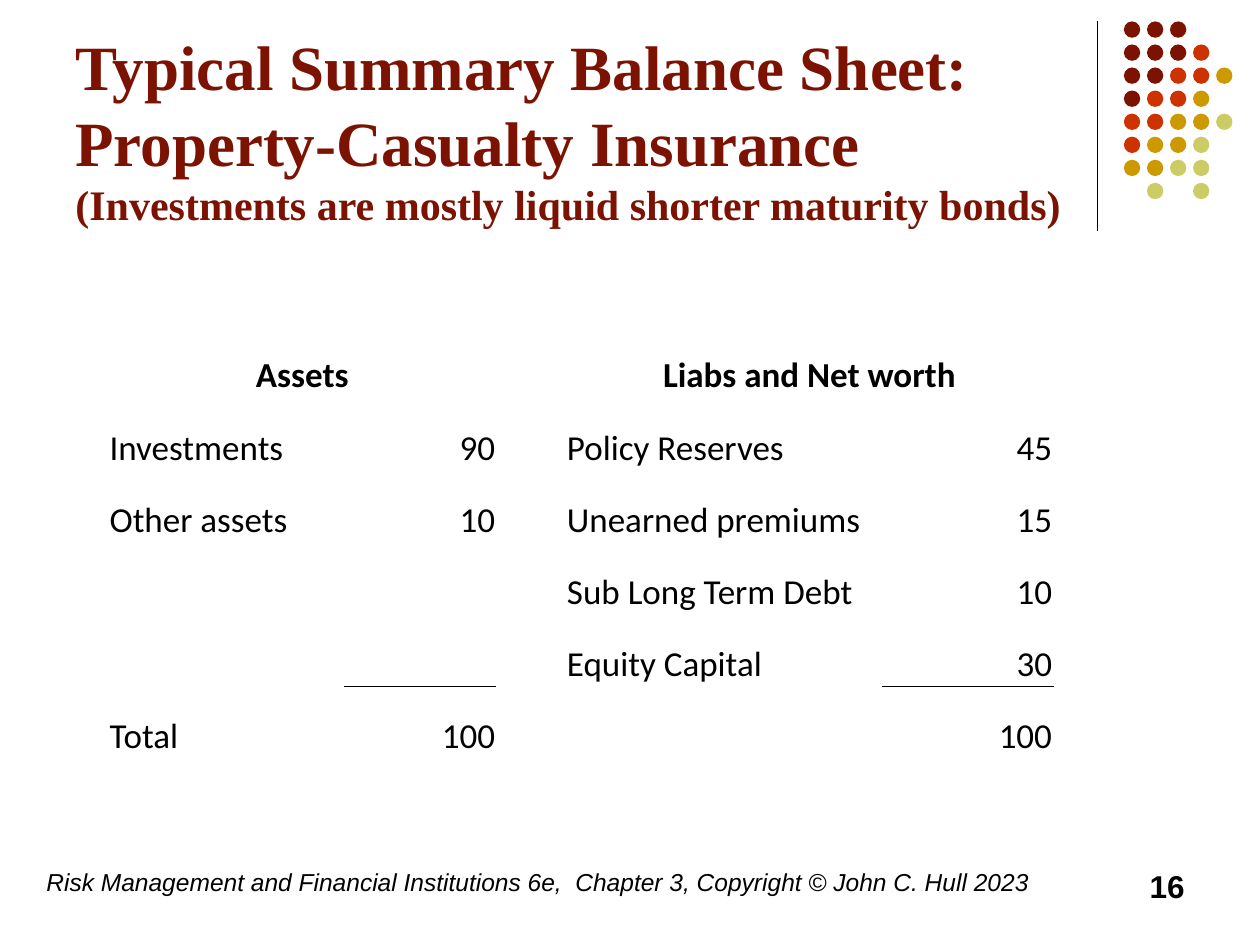
"""Build the property-casualty insurance balance sheet slide."""
import dataclasses

import lxml.etree
import pptx
import pptx.dml.color
import pptx.enum.shapes
import pptx.enum.text
import pptx.oxml
import pptx.oxml.ns
import pptx.util

Inches = pptx.util.Inches
Pt = pptx.util.Pt
Color = pptx.dml.color.RGBColor.from_string
Align = pptx.enum.text.PP_ALIGN
Anchor = pptx.enum.text.MSO_ANCHOR
qn = pptx.oxml.ns.qn


@dataclasses.dataclass(frozen=True)
class Theme:
    black: str = "000000"
    white: str = "FFFFFF"
    maroon: str = "7C1302"
    red: str = "CC3300"
    gold: str = "CC9900"
    olive: str = "CCCC66"
    title_size: int = 36
    subtitle_size: int = 24
    table_size: int = 20
    number_size: int = 18
    footer_size: int = 14
    title_font: str = "Times New Roman"
    table_font: str = "Calibri"
    footer_font: str = "Arial"


theme = Theme()


def style_font(font, name, size, color, bold=False, italic=False):
    font.name = name
    font.size = Pt(size)
    font.color.rgb = Color(color)
    font.bold = bold
    font.italic = italic


def add_text_box(left, top, width, height, anchor=Anchor.TOP):
    box = slide.shapes.add_textbox(Inches(left), Inches(top), Inches(width), Inches(height))
    box.text_frame.word_wrap = True
    box.text_frame.vertical_anchor = anchor
    return box.text_frame.paragraphs[0]


presentation = pptx.Presentation()
presentation.slide_width = Inches(10)
presentation.slide_height = Inches(7.5)
slide = presentation.slides.add_slide(presentation.slide_layouts[6])

divider = slide.shapes.add_connector(
    pptx.enum.shapes.MSO_CONNECTOR.STRAIGHT,
    Inches(8.71), Inches(0.17), Inches(8.71), Inches(1.83),
)
divider.line.color.rgb = Color(theme.black)
divider.line.width = Pt(0.75)
lxml.etree.SubElement(divider.element.spPr, qn("a:effectLst"))

dot_colors = {"M": theme.maroon, "R": theme.red, "G": theme.gold, "O": theme.olive}
dot_rows = ["MMM", "MMMR", "MMRRG", "MRRG", "RRGGO", "RGGO", "GGOO", " O O"]
dot_pitch = 0.183
dots = slide.shapes.add_group_shape()
for row, pattern in enumerate(dot_rows):
    for column, key in enumerate(pattern):
        if key in dot_colors:
            dot = dots.shapes.add_shape(
                pptx.enum.shapes.MSO_SHAPE.OVAL,
                Inches(8.92 + column * dot_pitch), Inches(0.17 + row * dot_pitch),
                Inches(0.13), Inches(0.13),
            )
            dot.shadow.inherit = False
            dot.fill.solid()
            dot.fill.fore_color.rgb = Color(dot_colors[key])
            dot.line.fill.background()

title = add_text_box(0.5, 0.13, 8.25, 1.74, Anchor.BOTTOM)
title_parts = [
    ("Typical Summary Balance Sheet: Property-Casualty Insurance ", theme.title_size),
    ("(Investments are mostly liquid shorter maturity bonds)", theme.subtitle_size),
]
for text, size in title_parts:
    run = title.add_run()
    run.text = text
    style_font(run.font, theme.title_font, size, theme.maroon, bold=True)

footer = add_text_box(0.27, 6.83, 8.27, 0.5)
footer.text = "Risk Management and Financial Institutions 6e,  Chapter 3, Copyright © John C. Hull 2023"
style_font(footer.font, theme.footer_font, theme.footer_size, theme.black, italic=True)

page_number = add_text_box(7.17, 6.83, 2.33, 0.5)
page_number.text = "16"
page_number.alignment = Align.RIGHT
style_font(page_number.font, theme.footer_font, theme.number_size, theme.black, bold=True)

balance_rows = [
    ["Assets", "", "", "Liabs and Net worth", ""],
    ["Investments", "90", "", "Policy Reserves", "45"],
    ["Other assets", "10", "", "Unearned premiums", "15"],
    ["", "", "", "Sub Long Term Debt", "10"],
    ["", "", "", "Equity Capital", "30"],
    ["Total", "100", "", "", "100"],
]
column_widths = [1.88, 1.2, 0.55, 2.52, 1.35]
amount_columns = (1, 4)
total_row = len(balance_rows) - 1
rule_sides = {total_row - 1: "a:lnB", total_row: "a:lnT"}

table = slide.shapes.add_table(
    len(balance_rows), len(column_widths),
    Inches(0.86), Inches(2.58), Inches(7.5), Inches(3.44),
).table
table.first_row = False
table.horz_banding = False
for column, width in zip(table.columns, column_widths):
    column.width = Inches(width)
for start in (0, 3):
    table.cell(0, start).merge(table.cell(0, start + 1))

for row, values in enumerate(balance_rows):
    for column, text in enumerate(values):
        cell = table.cell(row, column)
        cell.fill.solid()
        cell.fill.fore_color.rgb = Color(theme.white)
        cell.vertical_anchor = Anchor.BOTTOM
        cell.margin_left = cell.margin_right = cell.margin_top = Inches(0.01)
        cell.margin_bottom = 0
        paragraph = cell.text_frame.paragraphs[0]
        paragraph.text = text
        if row == 0:
            paragraph.alignment = Align.CENTER
        elif column in amount_columns:
            paragraph.alignment = Align.RIGHT
        else:
            paragraph.alignment = Align.LEFT
        style_font(paragraph.font, theme.table_font, theme.table_size, theme.black, bold=row == 0)
        if row in rule_sides and column in amount_columns:
            border = lxml.etree.Element(qn(rule_sides[row]), w=str(Pt(0.5)))
            fill = lxml.etree.SubElement(border, qn("a:solidFill"))
            lxml.etree.SubElement(fill, qn("a:srgbClr"), val=theme.black)
            cell._tc.get_or_add_tcPr().insert(0, border)

presentation.save("out.pptx")
